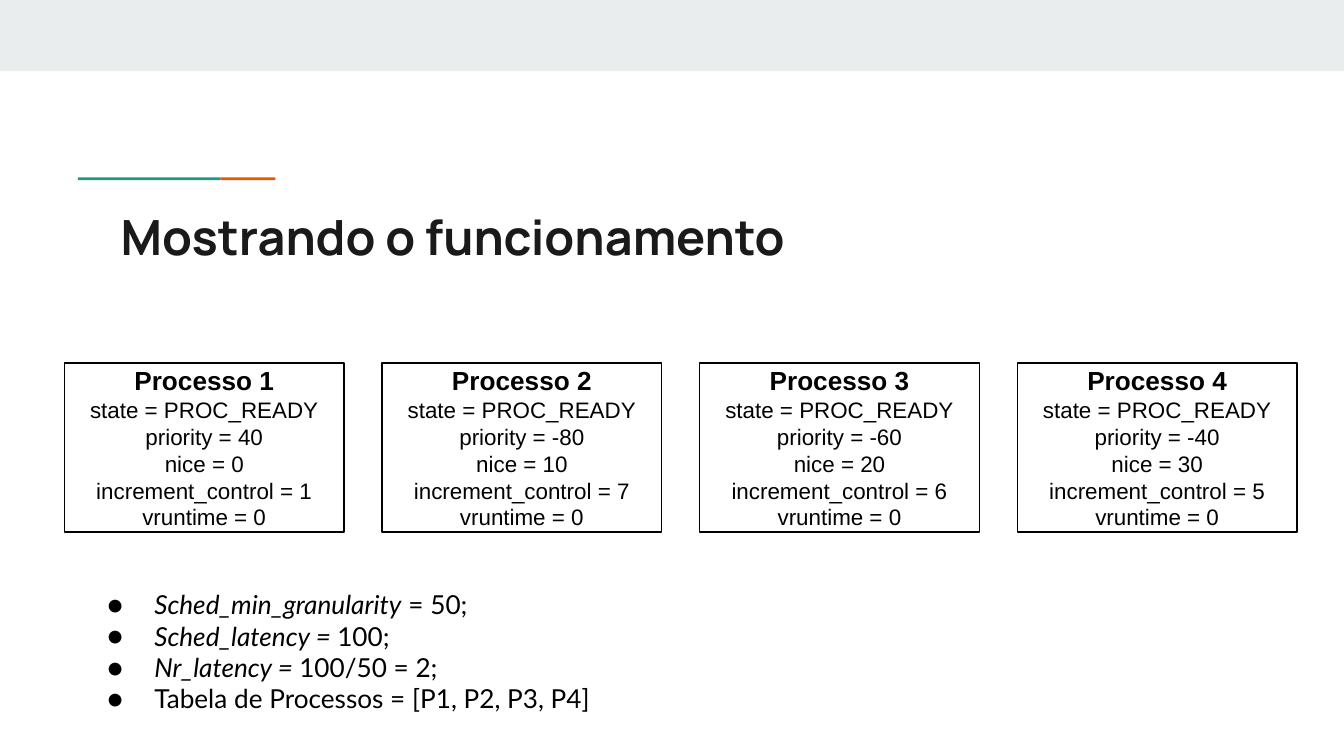
from lxml.etree import SubElement
from pptx import Presentation
from pptx.dml.color import RGBColor
from pptx.enum.shapes import MSO_SHAPE as Shape
from pptx.enum.text import MSO_ANCHOR as Anchor, PP_ALIGN as Align
from pptx.oxml.ns import qn
from pptx.util import Inches, Pt

BLACK, WHITE, TEAL, ORANGE = "000000", "FFFFFF", "1A9988", "EB5600"
PROCESSES = [(40, 0, 1), (-80, 10, 7), (-60, 20, 6), (-40, 30, 5)]
SETTINGS = [
    ("Sched_min_granularity", " = 50;"),
    ("Sched_latency = ", "100;"),
    ("Nr_latency = ", "100/50 = 2;"),
    ("", "Tabela de Processos = [P1, P2, P3, P4]"),
]


def color(value):
    return RGBColor.from_string(value)


class SlideBuilder:
    """Holds the slide style and draws each kind of element."""

    title_style = {"name": "Manrope", "size": Pt(26), "bold": True}
    heading_style = {"name": "Arial", "size": Pt(14), "bold": True}
    detail_style = {"name": "Arial", "size": Pt(12), "bold": False}
    list_style = {"name": "Lato", "size": Pt(14)}

    def __init__(self, slide):
        self.slide = slide

    def run(self, paragraph, text, style, ink=BLACK):
        run = paragraph.add_run()
        run.text = text
        for name, value in style.items():
            setattr(run.font, name, value)
        run.font.color.rgb = color(ink)

    def frame(self, shape, anchor=Anchor.TOP):
        frame = shape.text_frame
        margins = dict.fromkeys(
            ("margin_left", "margin_top", "margin_right", "margin_bottom"), Inches(0.1))
        for name, value in {**margins, "word_wrap": True, "vertical_anchor": anchor}.items():
            setattr(frame, name, value)
        return frame

    def paragraphs(self, frame, count):
        return [frame.paragraphs[0]] + [frame.add_paragraph() for _ in range(count - 1)]

    def rectangle(self, left, top, width, height, fill, line=None):
        shape = self.slide.shapes.add_shape(
            Shape.RECTANGLE, *map(Inches, (left, top, width, height)))
        shape.shadow.inherit = False
        shape.fill.solid()
        shape.fill.fore_color.rgb = color(fill)
        if line:
            shape.line.color.rgb = color(line)
            shape.line.width = Pt(0.75)
        else:
            shape.line.fill.background()
        return shape

    def text_box(self, left, top, width, height):
        return self.frame(self.slide.shapes.add_textbox(
            *map(Inches, (left, top, width, height))))

    def title(self, text):
        frame = self.text_box(0.8, 1.44, 8.41, 0.59)
        self.run(frame.paragraphs[0], text, self.title_style, "1A1A1A")

    def process_box(self, left, lines):
        shape = self.rectangle(left, 2.7, 2.08, 1.26, WHITE, BLACK)
        frame = self.frame(shape, Anchor.MIDDLE)
        for index, paragraph in enumerate(self.paragraphs(frame, len(lines))):
            paragraph.alignment = Align.CENTER
            self.run(paragraph, lines[index],
                     self.detail_style if index else self.heading_style)

    def bullet_list(self, items):
        frame = self.text_box(0.55, 4.28, 8.36, 1.16)
        for paragraph, (name, value) in zip(self.paragraphs(frame, len(items)), items):
            properties = paragraph._p.get_or_add_pPr()
            properties.set("marL", str(Inches(0.5)))
            properties.set("indent", str(Inches(-0.35)))
            bullet_color = SubElement(properties, qn("a:buClr"))
            SubElement(bullet_color, qn("a:srgbClr"), val=BLACK)
            SubElement(properties, qn("a:buFont"), typeface=self.list_style["name"])
            SubElement(properties, qn("a:buChar"), char="●")
            for text, italic in ((name, True), (value, False)):
                if text:
                    self.run(paragraph, text, {**self.list_style, "italic": italic})


def main():
    presentation = Presentation()
    presentation.slide_width = Inches(10)
    presentation.slide_height = Inches(10) * 9 // 16
    builder = SlideBuilder(presentation.slides.add_slide(presentation.slide_layouts[6]))

    builder.rectangle(0, 0, 10, 0.53, "E9EDEE")
    builder.rectangle(1.64, 1.32, 0.41, 0.02, ORANGE)
    builder.rectangle(0.58, 1.32, 1.06, 0.02, TEAL)
    builder.title("Mostrando o funcionamento")

    first_left, last_left = 0.48, 7.57
    pitch = (last_left - first_left) / (len(PROCESSES) - 1)
    for index, (priority, nice, increment) in enumerate(PROCESSES):
        builder.process_box(first_left + index * pitch, [
            f"Processo {index + 1}",
            "state = PROC_READY",
            f"priority = {priority}",
            f"nice = {nice}",
            f"increment_control = {increment}",
            "vruntime = 0",
        ])

    builder.bullet_list(SETTINGS)
    presentation.save("out.pptx")


if __name__ == "__main__":
    main()
